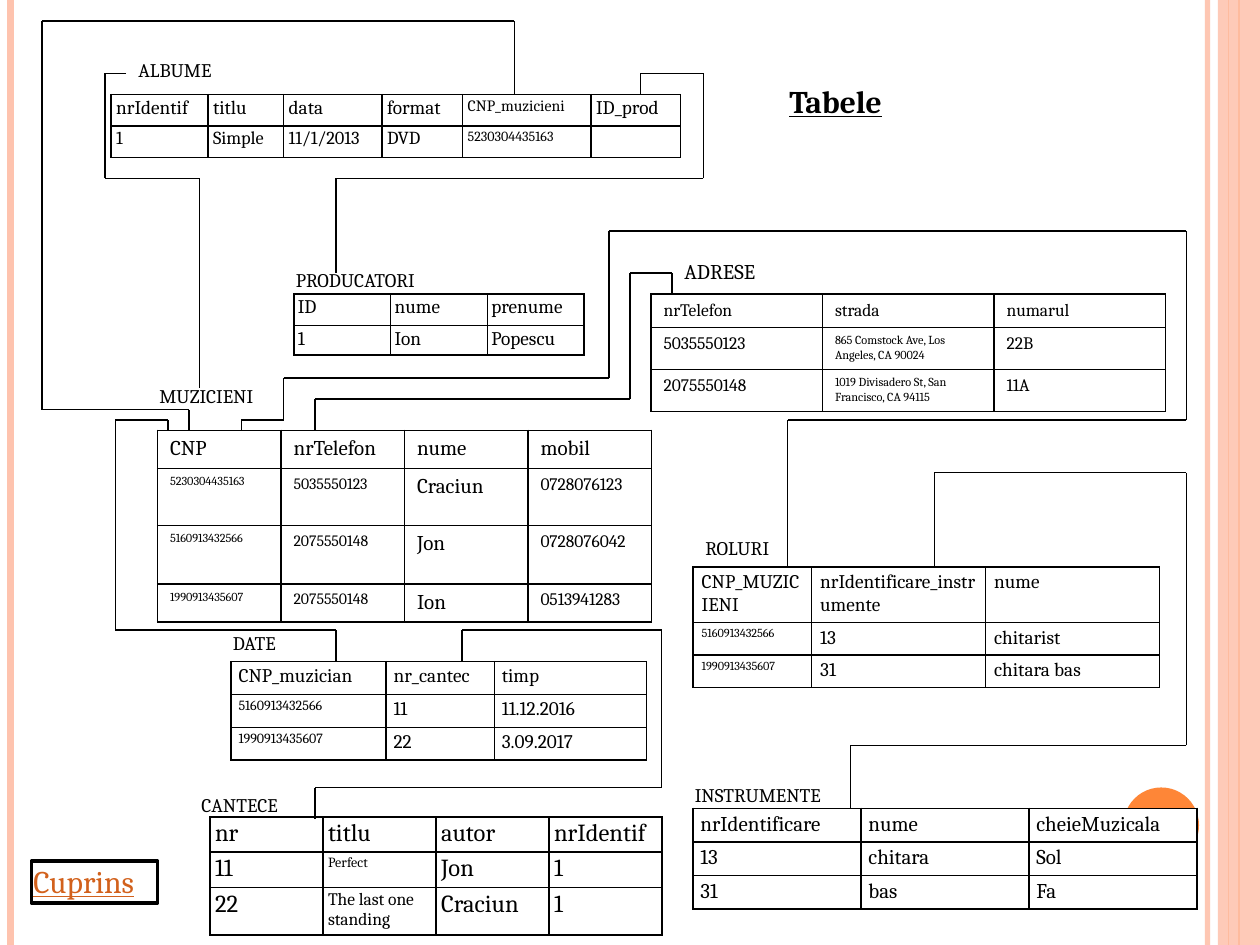
from itertools import pairwise

from lxml import etree
from pptx import Presentation
from pptx import util as u
from pptx.dml.color import RGBColor
from pptx.enum import shapes
from pptx.oxml import ns

Pt = u.Pt
FONT = "Cambria"
BLACK, WHITE, ORANGE, PEACH, RUST = "000000", "FFFFFF", "FE8637", "FEC3AE", "D2611C"
WIDTH, HEIGHT = 720, 540

# x, line width, colour, opacity in percent
STRIPES = [(690, 3, PEACH, 93), (6, 4.5, PEACH, 100), (708, 1.5, ORANGE, 100), (702, 0.75, ORANGE, 100)]

# A cell is its text, or (text, size) where the size differs from the table's.
# Margins are (side, top and bottom).
TABLES = [
    dict(title="MUZICIENI", title_at=(84, 216, 84), at=(90, 246), size=12, margins=(7.2, 3.6),
         cols=[70.56] * 4, rows=[21.7, 32.6, 33.4, 21.7], cells=[
             ["CNP", "nrTelefon", "nume", "mobil"],
             [("5230304435163", 7), ("5035550123", 9), "Craciun", ("0728076123", 10)],
             [("5160913432566", 7), ("2075550148", 9), "Jon", ("0728076042", 10)],
             [("1990913435607", 7), ("2075550148", 9), "Ion", ("0513941283", 10)]]),
    dict(title="ADRESE", title_at=(384, 144, 120), title_size=12, at=(372, 168), size=10,
         margins=(7.2, 3.6), cols=[98] * 3, rows=[19.2, 24, 24], cells=[
             ["nrTelefon", "strada", "numarul"],
             ["5035550123", ("865 Comstock Ave, Los Angeles, CA 90024", 7), "22B"],
             ["2075550148", ("1019 Divisadero St, San Francisco, CA 94115", 7), "11A"]]),
    dict(title="ROLURI", title_at=(396, 303, 60), at=(396, 324), size=11, margins=(5, 2.6),
         cols=[67.7, 99.4, 99.4], rows=[31.4, 18.6, 18.6], cells=[
             ["CNP_MUZICIENI", "nrIdentificare_instrumente", "nume"],
             [("5160913432566", 7), "13", "chitarist"],
             [("1990913435607", 7), "31", "chitara bas"]]),
    dict(title="INSTRUMENTE", title_at=(390, 444, 120), at=(396, 462), size=12, margins=(4.3, 2.2),
         fill=WHITE, cols=[96] * 3, rows=[19.2] * 3, cells=[
             ["nrIdentificare", "nume", "cheieMuzicala"],
             ["13", "chitara", "Sol"],
             ["31", "bas", "Fa"]]),
    dict(title="DATE", title_at=(126, 357, 96), at=(132, 378), size=11, margins=(4.3, 2.2),
         cols=[88.6, 61.9, 87.1], rows=[18.8] * 3, cells=[
             ["CNP_muzician", "nr_cantec", "timp"],
             [("5160913432566", 8), "11", "11.12.2016"],
             [("1990913435607", 8), "22", "3.09.2017"]]),
    dict(title="CANTECE", title_at=(108, 450, 84), at=(120, 466.8), size=14, margins=(2.9, 1.4),
         cols=[64.6] * 4, rows=[20.2, 20.2, 27.2], cells=[
             ["nr", "titlu", "autor", "nrIdentif"],
             ["11", ("Perfect", 8), "Jon", "1"],
             ["22", ("The last one standing", 10), "Craciun", "1"]]),
    dict(title="ALBUME", title_at=(72, 30, 72), at=(63.5, 54), size=11, margins=(2.9, 1.4),
         cols=[55.4, 43.2, 56.2, 46.1, 73.4, 51.1], rows=[18, 18], cells=[
             ["nrIdentif", "titlu", "data", "format", ("CNP_muzicieni", 9), "ID_prod"],
             [("1", 10.5), ("Simple", 10.5), ("11/1/2013", 10.5), ("DVD", 10.5),
              ("5230304435163", 8), ""]]),
    dict(title="PRODUCATORI", title_at=(162, 150, 108), at=(168, 168), size=11, margins=(2.2, 1.4),
         cols=[55.3] * 3, rows=[18, 16.8], cells=[
             ["ID", "nume", "prenume"],
             ["1", "Ion", "Popescu"]]),
]

# Corner points of each relation between two tables
RELATIONS = [
    [(108, 246), (108, 234), (24, 234), (24, 12), (294, 12), (294, 54)],
    [(72, 42), (60, 42), (60, 102), (114, 102), (114, 222)],
    [(366, 54), (366, 42), (402, 42), (402, 102), (192, 102), (192, 156)],
    [(180, 246), (180, 228), (360, 228), (360, 156), (384, 156), (384, 168)],
    [(138, 246), (138, 240), (162, 240), (162, 216), (348, 216),
     (348, 132), (678, 132), (678, 240), (450, 240), (450, 324)],
    [(534, 324), (534, 270), (678, 270), (678, 426), (486, 426), (486, 462)],
    [(96, 246), (96, 240), (66, 240), (66, 360), (192, 360), (192, 378)],
    [(180, 468), (180, 450), (378, 450), (378, 360), (264, 360), (264, 378)],
]


def rgb(color):
    return RGBColor.from_string(color)


def set_opacity(fill, percent):
    if percent < 100:
        color = fill._xPr.find(".//" + ns.qn("a:srgbClr"))
        etree.SubElement(color, ns.qn("a:alpha"), val=str(percent * 1000))


def write(frame, content, size, color=BLACK, bold=False, underline=False):
    paragraph = frame.paragraphs[0]
    if not content:
        etree.SubElement(paragraph._p, ns.qn("a:endParaRPr"), sz=str(int(size * 100)))
        return
    run = paragraph.add_run()
    run.text = content
    font = run.font
    font.name, font.size, font.bold, font.underline = FONT, Pt(size), bold, underline
    font.color.rgb = rgb(color)


def add_label(slide, content, x, y, width, size=11, **style):
    box = slide.shapes.add_textbox(Pt(x), Pt(y), Pt(width), Pt(size * 1.2 + 7.2))
    box.text_frame.word_wrap = True
    write(box.text_frame, content, size, **style)


def add_line(slide, start, end, width=1, color=BLACK, opacity=100):
    line = slide.shapes.add_connector(shapes.MSO_CONNECTOR.STRAIGHT, *map(Pt, start + end))
    line.line.width = Pt(width)
    line.line.color.rgb = rgb(color)
    set_opacity(line.line.fill, opacity)
    etree.SubElement(line._element.spPr, ns.qn("a:effectLst"))


def add_shape(slide, kind, x, y, width, height, fill=None, opacity=100, outline=None):
    shape = slide.shapes.add_shape(kind, Pt(x), Pt(y), Pt(width), Pt(height))
    shape.shadow.inherit = False
    if fill:
        shape.fill.solid()
        shape.fill.fore_color.rgb = rgb(fill)
        set_opacity(shape.fill, opacity)
    else:
        shape.fill.background()
    if outline:
        shape.line.width = Pt(outline)
        shape.line.color.rgb = rgb(BLACK)
    else:
        shape.line.fill.background()


def add_borders(cell):
    properties = cell._tc.get_or_add_tcPr()
    for side in ("lnL", "lnR", "lnT", "lnB"):
        border = etree.SubElement(properties, ns.qn("a:" + side), w=str(Pt(1)))
        solid = etree.SubElement(border, ns.qn("a:solidFill"))
        etree.SubElement(solid, ns.qn("a:srgbClr"), val=BLACK)


def add_data_table(slide, data):
    cols, rows = data["cols"], data["rows"]
    lengths = (*data["at"], sum(cols), sum(rows))
    table = slide.shapes.add_table(len(rows), len(cols), *map(Pt, lengths)).table
    table.first_row = table.horz_banding = False
    for column, width in zip(table.columns, cols):
        column.width = Pt(width)
    side, top = map(Pt, data["margins"])
    for row, height, entries in zip(table.rows, rows, data["cells"]):
        row.height = Pt(height)
        for cell, entry in zip(row.cells, entries):
            content, size = entry if isinstance(entry, tuple) else (entry, data["size"])
            cell.margin_left = cell.margin_right = side
            cell.margin_top = cell.margin_bottom = top
            write(cell.text_frame, content, size)
            add_borders(cell)
            if "fill" in data:
                cell.fill.solid()
                cell.fill.fore_color.rgb = rgb(data["fill"])
            else:
                cell.fill.background()
    add_label(slide, data["title"], *data["title_at"], size=data.get("title_size", 11))


def main():
    deck = Presentation()
    deck.slide_width, deck.slide_height = Pt(WIDTH), Pt(HEIGHT)
    slide = deck.slides.add_slide(deck.slide_layouts[6])

    for x, *style in STRIPES:
        add_line(slide, (x, 0), (x, HEIGHT), *style)
    add_shape(slide, shapes.MSO_SHAPE.RECTANGLE, 696, 0, 24, HEIGHT, fill=PEACH, opacity=87)
    add_shape(slide, shapes.MSO_SHAPE.OVAL, 642, 450, 43.2, 43.2, fill=ORANGE)
    add_label(slide, "Cuprins", 12, 489, 114, size=18, color=RUST, underline=True)
    add_shape(slide, shapes.MSO_SHAPE.RECTANGLE, 18, 492, 72, 24, outline=2)

    for data in TABLES:
        add_data_table(slide, data)
    for corners in RELATIONS:
        for start, end in pairwise(corners):
            add_line(slide, start, end)
    add_label(slide, "Tabele", 444, 43.2, 78, size=18, bold=True, underline=True)

    deck.save("out.pptx")


if __name__ == "__main__":
    main()
